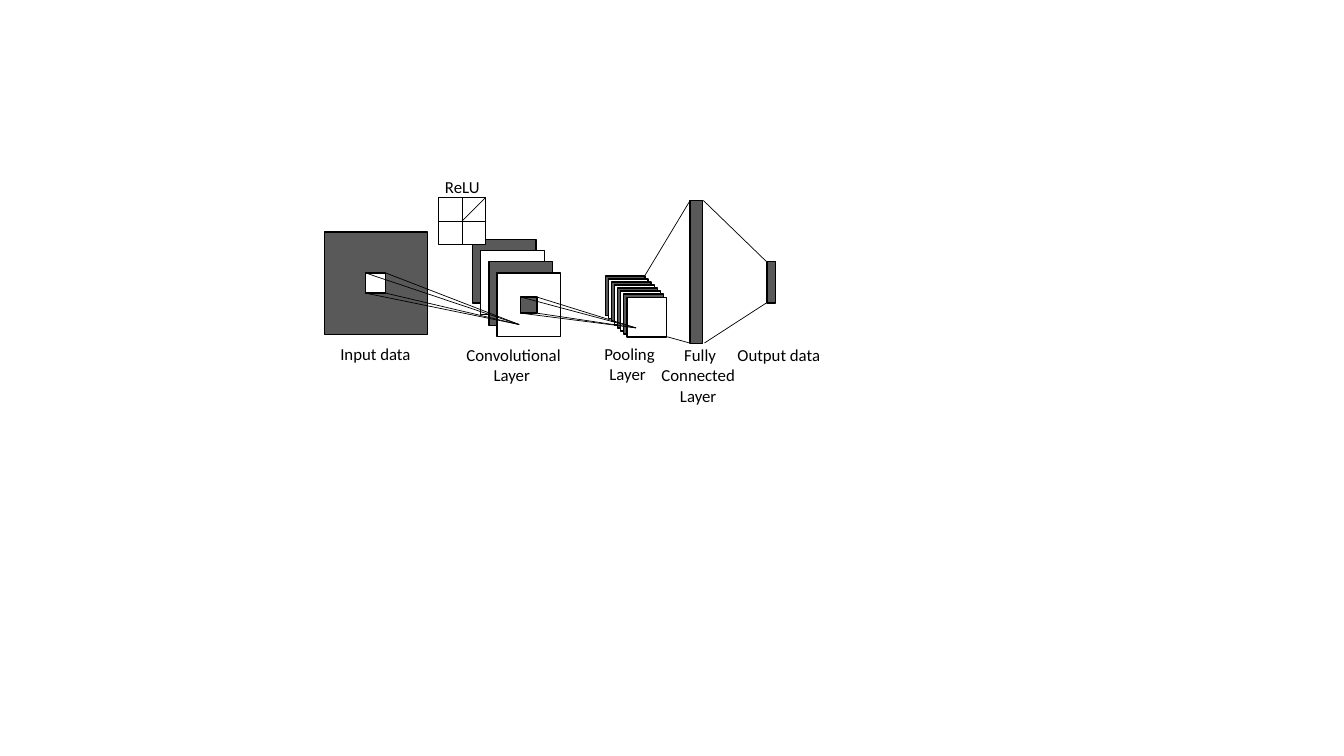
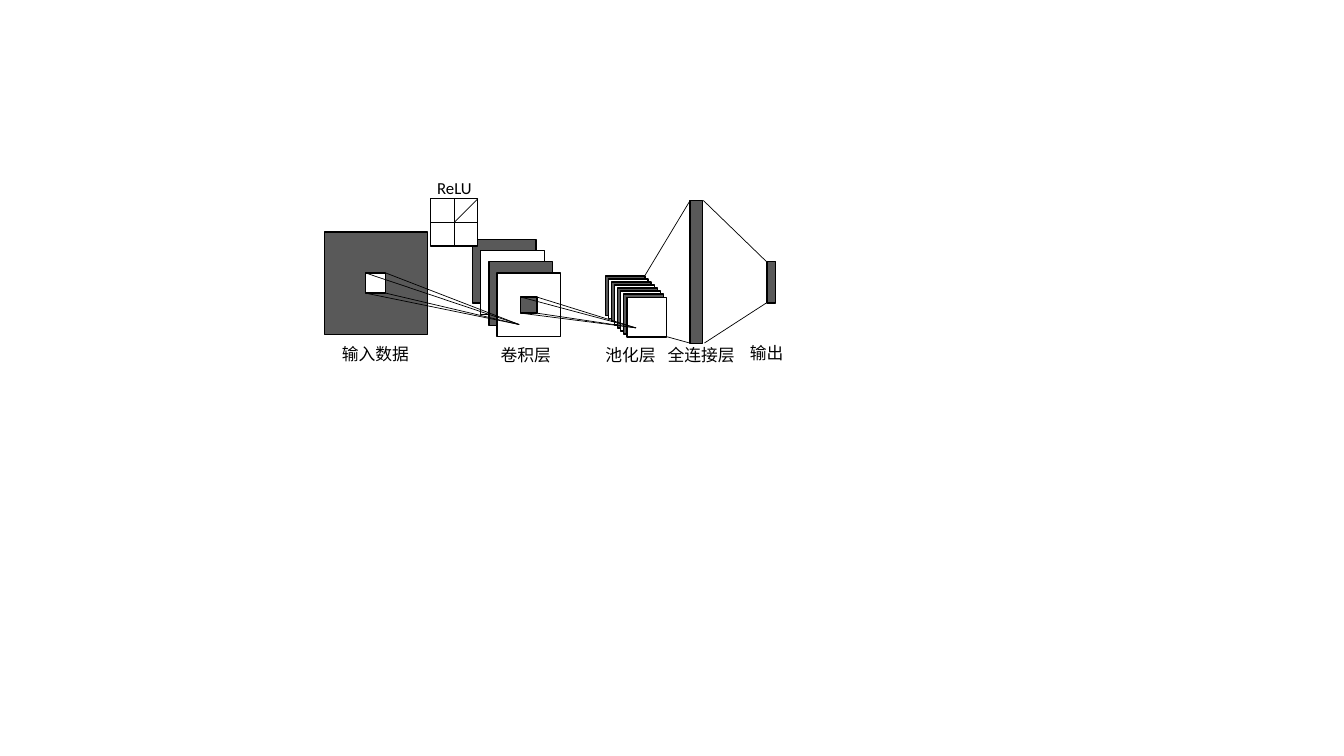
from lxml.etree import SubElement
from pptx import Presentation
from pptx.dml.color import RGBColor
from pptx.enum.shapes import MSO_CONNECTOR as CONN, MSO_SHAPE as SHAPE
from pptx.enum.text import MSO_AUTO_SIZE as AUTO, PP_ALIGN as ALIGN
from pptx.oxml.ns import qn
from pptx.util import Pt

BLACK = RGBColor(0x00, 0x00, 0x00)
WHITE = RGBColor(0xFF, 0xFF, 0xFF)
GREY = RGBColor(0x59, 0x59, 0x59)
LATIN, CJK = "Calibri", "Noto Sans CJK SC"


class Diagram:
    """Style and current slide; every length is in points."""
    text_size, border, thin = 12, 1, 0.5

    def __init__(self, prs):
        self.prs = prs
        self.s = None

    def new_slide(self):
        self.s = self.prs.slides.add_slide(self.prs.slide_layouts[6])

    def rect(self, x, y, w, h, fill=GREY):
        sp = self.s.shapes.add_shape(SHAPE.RECTANGLE, Pt(x), Pt(y), Pt(w), Pt(h))
        sp.shadow.inherit = False
        sp.fill.solid()
        sp.fill.fore_color.rgb = fill
        sp.line.color.rgb = BLACK
        sp.line.width = Pt(self.border)

    def line(self, x1, y1, x2, y2):
        c = self.s.shapes.add_connector(CONN.STRAIGHT, Pt(x1), Pt(y1), Pt(x2), Pt(y2))
        c.line.color.rgb = BLACK
        c.line.width = Pt(self.thin)
        SubElement(c._element.spPr, qn("a:effectLst"))

    def label(self, text, x, y, w, h, font=LATIN):
        sp = self.s.shapes.add_textbox(Pt(x), Pt(y), Pt(w), Pt(h))
        tf = sp.text_frame
        tf.word_wrap = True
        tf.auto_size = AUTO.SHAPE_TO_FIT_TEXT
        tf.text = text
        for p in tf.paragraphs:
            p.alignment = ALIGN.CENTER
            p.font.size = Pt(self.text_size)
            p.font.color.rgb = BLACK
            p.font.name = font
            ea = SubElement(p._p.pPr.find(qn("a:defRPr")), qn("a:ea"))
            ea.set("typeface", font)

    def stack(self, x, y, size, count, dx, dy):
        """Feature maps, alternately grey and white, from back to front."""
        for i in range(count):
            self.rect(x + i * dx, y + i * dy, size, size, WHITE if i % 2 else GREY)

    def rays(self, x, y, size, tip):
        """Lines from the corners of a square patch to one point."""
        for cx in (x, x + size):
            for cy in (y, y + size):
                self.line(cx, cy, *tip)

    def relu(self, x, y, size=33.8):
        mid_x, mid_y = x + size / 2, y + size / 2
        self.rect(x, y, size, size, WHITE)
        self.line(x, mid_y, x + size, mid_y)
        self.line(mid_x, y, mid_x, y + size)
        self.line(mid_x, mid_y, x + size, y)
        self.label("ReLU", x - 6.6, y - 18.4, 47.5, 21.6)

    def network(self, relu_at):
        # Input data and convolutional layer
        self.rect(231.8, 165.6, 73.4, 73.4)
        self.rect(261.2, 195, 14.4, 14.4, WHITE)
        self.stack(337.6, 171.2, 45.4, 4, 5.8, 7.9)
        self.rect(372, 212.2, 11.5, 11.5)
        self.relu(*relu_at)
        self.rays(261.2, 195, 14.4, (370.8, 231.8))

        # Pooling layer
        self.stack(432.4, 197.2, 28.4, 8, 2.2, 2.16)
        self.rays(372, 212.2, 11.5, (454.3, 234.2))

        # Fully connected layer and output
        self.rect(493, 143.2, 9, 102)
        self.rect(547.8, 186.8, 6.4, 29.6)
        self.line(460.8, 196.6, 493, 143.2)
        self.line(476.6, 240.6, 492.6, 245)
        self.line(502.4, 143.2, 547.4, 186.8)
        self.line(547.4, 216.4, 503.2, 245)


# Text, left, top, width, height of each caption
CAPTIONS_EN = [
    ("Input data", 224.6, 241.9, 87.1, 21.6),
    (" Convolutional Layer", 322.6, 242.9, 85.8, 36.3),
    (" Pooling\nLayer", 405.4, 241.9, 85.8, 36.3),
    (" Fully Connected Layer", 455.8, 242.9, 85.8, 51),
    ("Output data", 513.4, 242.9, 85.8, 21.6),
]
CAPTIONS_ZH = [
    ("输入数据", 224.6, 241.9, 87.1, 21.6),
    ("卷积层", 332.6, 242.9, 85.8, 21.6),
    ("池化层", 407.5, 242.9, 85.8, 21.6),
    ("全连接层", 457.9, 242.9, 85.8, 21.6),
    ("输出", 504.7, 241.5, 85.8, 21.6),
]


def main():
    prs = Presentation()
    prs.slide_width, prs.slide_height = Pt(960), Pt(540)
    d = Diagram(prs)
    for relu_at, captions, font in (
        ((313.1, 141), CAPTIONS_EN, LATIN),
        ((307.5, 142), CAPTIONS_ZH, CJK),
    ):
        d.new_slide()
        d.network(relu_at)
        for caption in captions:
            d.label(*caption, font=font)
    prs.save("out.pptx")


if __name__ == "__main__":
    main()
